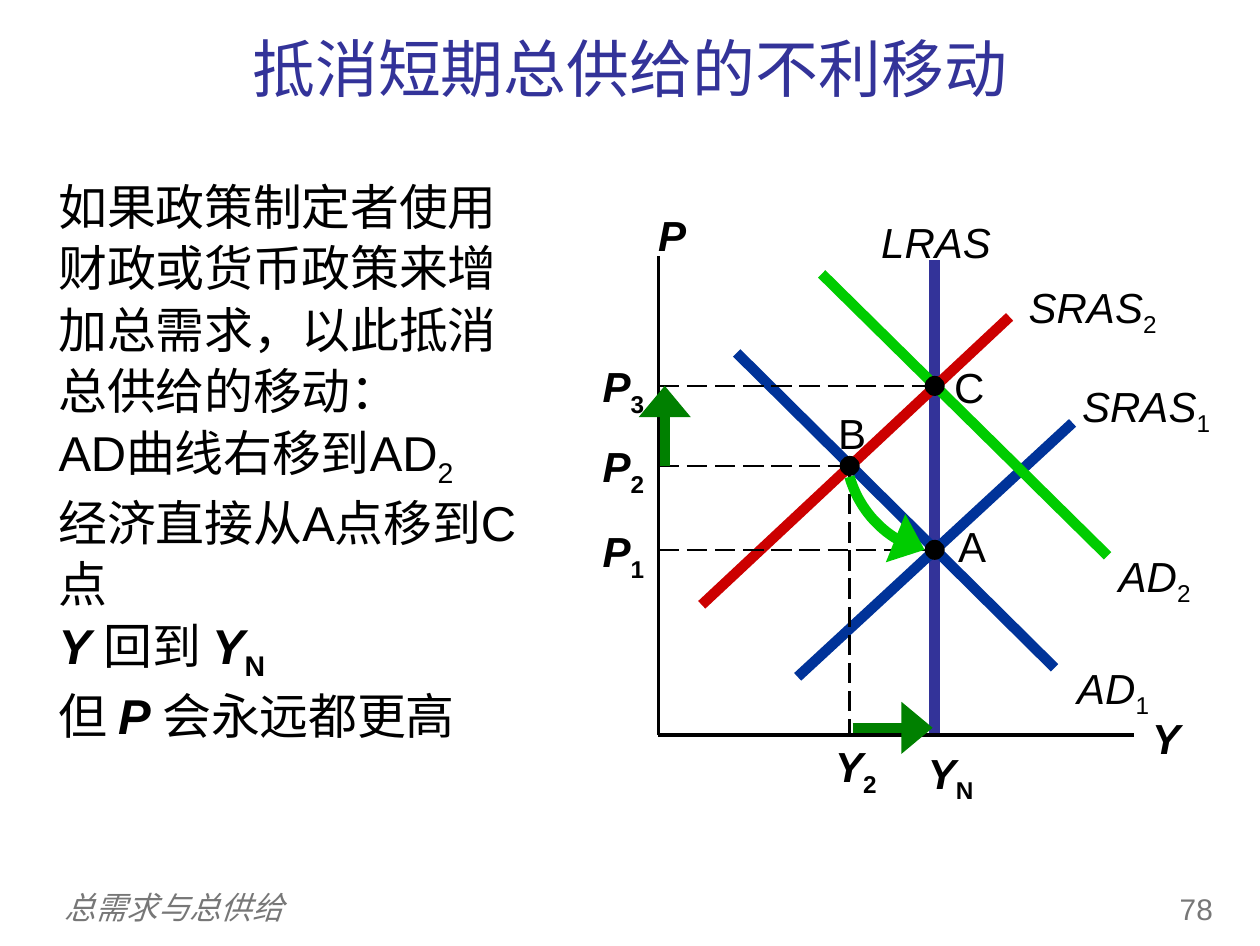
import pptx
import pptx.util
import pptx.dml.color
import pptx.enum.dml
import pptx.enum.shapes
import pptx.enum.text
import pptx.oxml.ns
from lxml import etree

PX = 914400 / 250
ALIGN = pptx.enum.text.PP_ALIGN
ANCHOR = pptx.enum.text.MSO_ANCHOR
BLACK, GREY, PURPLE = "000000", "777777", "333399"
BLUE, RED, LIME, GREEN = "003399", "CC0000", "00CC00", "008000"
CJK = "Noto Sans CJK SC"


def px(*values):
    return [pptx.util.Emu(round(v * PX)) for v in values]


def color(hex_value):
    return pptx.dml.color.RGBColor.from_string(hex_value)


def add_xml(parent, tag, **attributes):
    return etree.SubElement(parent, pptx.oxml.ns.qn(tag), **attributes)


def add_text(s, box, paragraphs, size=12.1, font="Arial", fill=BLACK, align=ALIGN.CENTER,
             anchor=ANCHOR.TOP, inset=True, grow=True, spacing=None):
    tf = s.shapes.add_textbox(*px(*box)).text_frame
    tf.word_wrap = True
    tf.vertical_anchor = anchor
    if grow:
        tf.auto_size = pptx.enum.text.MSO_AUTO_SIZE.SHAPE_TO_FIT_TEXT
    if not inset:
        tf.margin_left = tf.margin_top = tf.margin_right = tf.margin_bottom = 0
    for i, runs in enumerate(paragraphs):
        p = tf.add_paragraph() if i else tf.paragraphs[0]
        p.alignment = align
        if spacing:
            p.line_spacing = spacing
        for text, style in runs:
            r = p.add_run()
            r.text = text
            r.font.size = pptx.util.Pt(size)
            r.font.name = font
            r.font.color.rgb = color(fill)
            r.font.bold = "b" in style
            r.font.italic = "i" in style
            rPr = r.font._element
            if "s" in style:
                rPr.set("baseline", "-25000")
            rPr.find(pptx.oxml.ns.qn("a:latin")).addnext(
                etree.Element(pptx.oxml.ns.qn("a:ea"), typeface=CJK))


def add_label(s, box, name, sub="", style="i", inset=True):
    runs = [(name, style)]
    if sub:
        runs.append((sub, style.replace("i", "") + "s"))
    add_text(s, box, [runs], inset=inset)


def format_line(sp, stroke, width, dashed=False, arrow=False):
    sp.line.color.rgb = color(stroke)
    sp.line.width = pptx.util.Pt(width)
    if dashed:
        sp.line.dash_style = pptx.enum.dml.MSO_LINE.LONG_DASH
    if arrow:
        add_xml(sp.line._get_or_add_ln(), "a:tailEnd", type="triangle", w="lg", len="med")


def add_line(s, ends, stroke=BLACK, width=3, **options):
    sp = s.shapes.add_connector(pptx.enum.shapes.MSO_CONNECTOR.STRAIGHT, *px(*ends))
    format_line(sp, stroke, width, **options)
    add_xml(sp._element.spPr, "a:effectLst")


def add_guide(s, *ends):
    add_line(s, ends, width=0.75, dashed=True)


def add_dot(s, x, y, radius=10):
    sp = s.shapes.add_shape(pptx.enum.shapes.MSO_SHAPE.OVAL,
                            *px(x - radius, y - radius, 2 * radius, 2 * radius))
    sp.shadow.inherit = False
    sp.fill.solid()
    sp.fill.fore_color.rgb = color(BLACK)
    sp.line.fill.background()


def add_curve_arrow(s, controls, steps=24):
    points = []
    for i in range(steps + 1):
        t = i / steps
        weights = ((1 - t) ** 3, 3 * t * (1 - t) ** 2, 3 * t * t * (1 - t), t ** 3)
        points.append(px(*(sum(w * c[k] for w, c in zip(weights, controls)) for k in (0, 1))))
    builder = s.shapes.build_freeform(*points[0])
    builder.add_line_segments(points[1:], close=False)
    sp = builder.convert_to_shape()
    sp.shadow.inherit = False
    sp.fill.background()
    format_line(sp, LIME, 3, arrow=True)


def add_graph(s):
    add_line(s, (935, 260, 935, 733), PURPLE)
    add_label(s, (855, 204, 163, 75), "LRAS")
    add_label(s, (901, 735, 100, 75), "Y", "N", "bi")

    add_line(s, (659, 256, 659, 735), width=1)
    add_line(s, (658, 735, 1134, 735), width=1)
    add_label(s, (634, 197, 53, 78), "P", style="bi")
    add_label(s, (1128, 700, 58, 78), "Y", style="bi")

    curves = [
        ((737, 353, 1055, 668), BLUE, (1040, 650, 147, 75), "AD", "1"),
        ((798, 677, 1073, 423), BLUE, (1050, 368, 193, 75), "SRAS", "1"),
        ((702, 605, 1010, 317), RED, (998, 269, 190, 75), "SRAS", "2"),
    ]
    shifted_demand = ((822, 274, 1108, 556), LIME, (1091, 538, 128, 75), "AD", "2")
    for ends, stroke, box, name, sub in curves:
        add_line(s, ends, stroke)
        add_label(s, box, name, sub)

    add_guide(s, 659, 550, 935, 550)
    add_dot(s, 935, 550)
    add_guide(s, 659, 466, 850, 466)
    add_guide(s, 850, 466, 850, 735)
    add_dot(s, 850, 466)
    add_label(s, (822, 741, 68, 50), "Y", "2", "bi", inset=False)

    ends, stroke, box, name, sub = shifted_demand
    add_line(s, ends, stroke)
    add_label(s, box, name, sub)
    add_guide(s, 659, 386, 935, 386)
    add_dot(s, 935, 386)

    for sub, top in (("1", 526), ("2", 441), ("3", 361)):
        add_label(s, (590, top, 67, 50), "P", sub, "bi", inset=False)
    for name, left, top in (("A", 950, 521), ("B", 830, 408), ("C", 947, 362)):
        add_label(s, (left, top, 45, 50), name, style="", inset=False)


def main():
    prs = pptx.Presentation()
    prs.slide_width = pptx.util.Pt(363)
    prs.slide_height = pptx.util.Pt(272.5)
    s = prs.slides.add_slide(prs.slide_layouts[6])

    add_text(s, (40, 882, 1010, 50), [[("总需求与总供给", "i")]], size=9, fill=GREY,
             align=ALIGN.LEFT, anchor=ANCHOR.MIDDLE, grow=False)
    add_text(s, (1143, 879, 95, 50), [[("78", "")]], size=8.6, fill=GREY,
             align=ALIGN.RIGHT, grow=False)
    add_text(s, (0, 22, 1260, 90), [[("抵消短期总供给的不利移动", "")]], size=18.1, font=CJK,
             fill=PURPLE, anchor=ANCHOR.MIDDLE, grow=False)
    add_graph(s)
    add_text(s, (34, 161, 530, 583), [
        [("如果政策制定者使用财政或货币政策来增加总需求，以此抵消总供给的移动：", "")],
        [("AD曲线右移到AD", ""), ("2", "s")],
        [("经济直接从A点移到C点", "")],
        [("Y ", "bi"), ("回到 ", ""), ("Y", "bi"), ("N", "bs")],
        [("但 ", ""), ("P ", "bi"), ("会永远都更高", "")],
    ], size=14.1, align=ALIGN.LEFT, spacing=1.05)

    add_line(s, (853, 728, 933, 728), GREEN, arrow=True)
    add_line(s, (665, 466, 665, 386), GREEN, arrow=True)
    add_curve_arrow(s, ((850, 477), (860, 512), (888, 542), (925, 550)))
    prs.save("out.pptx")


if __name__ == "__main__":
    main()
